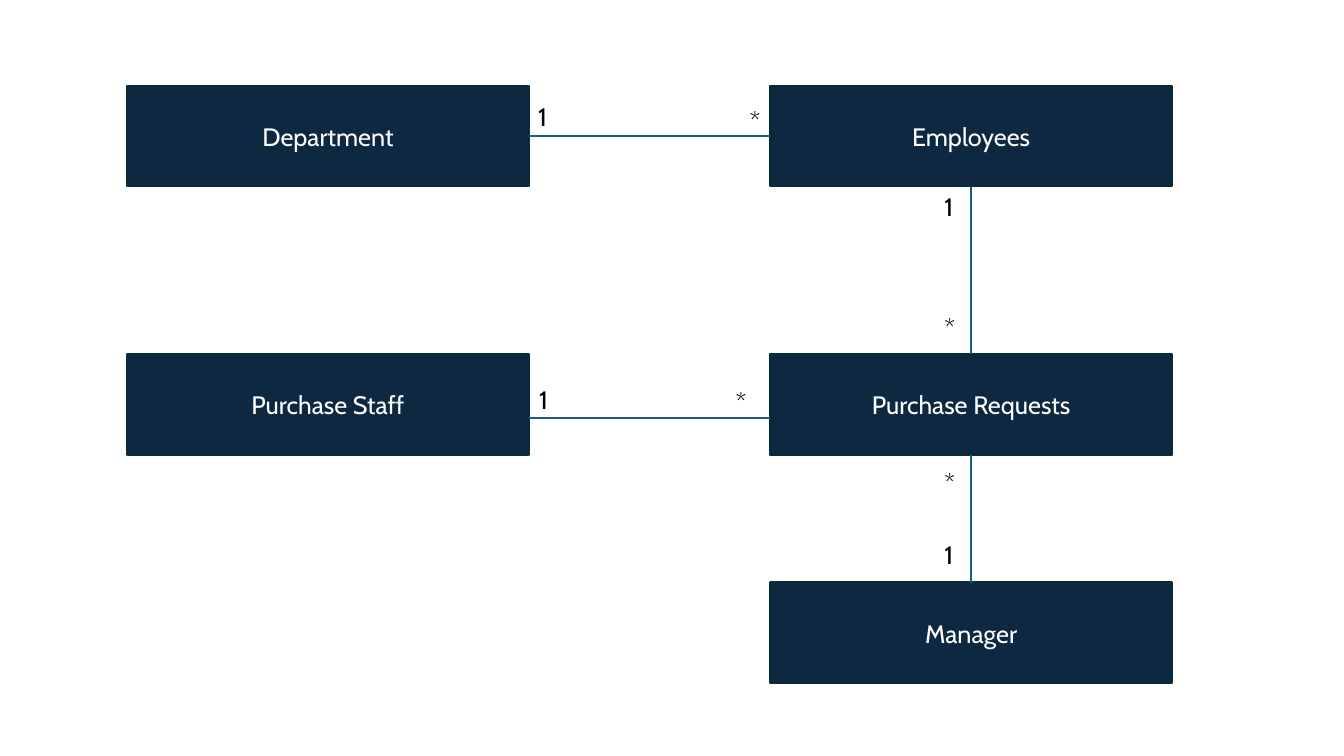
from lxml import etree
from pptx import Presentation
from pptx.dml.color import RGBColor
from pptx.enum.shapes import MSO_CONNECTOR, MSO_SHAPE
from pptx.enum.text import MSO_ANCHOR, MSO_AUTO_SIZE, PP_ALIGN
from pptx.oxml.ns import qn
from pptx.util import Cm, Pt

RECTANGLE = MSO_SHAPE.RECTANGLE
STRAIGHT = MSO_CONNECTOR.STRAIGHT
MIDDLE = MSO_ANCHOR.MIDDLE
FIT_SHAPE = MSO_AUTO_SIZE.SHAPE_TO_FIT_TEXT
CENTER = PP_ALIGN.CENTER

BOX_WIDTH, BOX_HEIGHT = 10.13, 2.54
LEFT_COLUMN, RIGHT_COLUMN = 3.2, 19.41
TOP_ROW, MIDDLE_ROW, BOTTOM_ROW = 2.16, 8.92, 14.68
LEFT_EDGE = LEFT_COLUMN + BOX_WIDTH
RIGHT_CENTER = RIGHT_COLUMN + BOX_WIDTH / 2


def color(hex_string):
    return RGBColor.from_string(hex_string)


def write(shape, text, text_color):
    para = shape.text_frame.paragraphs[0]
    para.text = text
    para.font.name = "Cabin"
    para.font.size = Pt(18)
    para.font.color.rgb = color(text_color)
    return para


deck = Presentation()
deck.slide_width, deck.slide_height = Cm(33.87), Cm(19.05)
page = deck.slides.add_slide(deck.slide_layouts[6])

entities = [
    ("Department", LEFT_COLUMN, TOP_ROW),
    ("Employees", RIGHT_COLUMN, TOP_ROW),
    ("Purchase Staff", LEFT_COLUMN, MIDDLE_ROW),
    ("Purchase Requests", RIGHT_COLUMN, MIDDLE_ROW),
    ("Manager", RIGHT_COLUMN, BOTTOM_ROW),
]
for name, left, top in entities:
    box = page.shapes.add_shape(RECTANGLE, Cm(left), Cm(top), Cm(BOX_WIDTH), Cm(BOX_HEIGHT))
    box.shadow.inherit = False
    box.fill.solid()
    box.fill.fore_color.rgb = color("0E2841")
    box.line.color.rgb = color("092A39")
    box.line.width = Pt(1.5)
    box.text_frame.vertical_anchor = MIDDLE
    write(box, name, "FFFFFF").alignment = CENTER

relations = [
    (LEFT_EDGE, 3.43, RIGHT_COLUMN, 3.43),
    (LEFT_EDGE, 10.54, RIGHT_COLUMN, 10.54),
    (RIGHT_CENTER, MIDDLE_ROW, RIGHT_CENTER, TOP_ROW + BOX_HEIGHT),
    (RIGHT_CENTER, BOTTOM_ROW, RIGHT_CENTER, MIDDLE_ROW + BOX_HEIGHT),
]
for ends in relations:
    relation = page.shapes.add_connector(STRAIGHT, *[Cm(value) for value in ends])
    relation.line.color.rgb = color("156082")
    relation.line.width = Pt(1.5)
    etree.SubElement(relation._element.spPr, qn("a:effectLst"))

label_widths = {"1": 3.38, "*": 4.11}
multiplicities = [
    ("1", 13.31, 2.44),
    ("*", 18.64, 2.54),
    ("1", 23.55, 4.7),
    ("*", 23.55, 7.75),
    ("1", 13.34, 9.55),
    ("*", 18.29, 9.6),
    ("*", 23.55, 11.66),
    ("1", 23.55, 13.46),
]
for symbol, left, top in multiplicities:
    label = page.shapes.add_textbox(Cm(left), Cm(top), Cm(label_widths[symbol]), Cm(1.02))
    label.text_frame.word_wrap = True
    label.text_frame.auto_size = FIT_SHAPE
    write(label, symbol, "000000")

deck.save("out.pptx")
